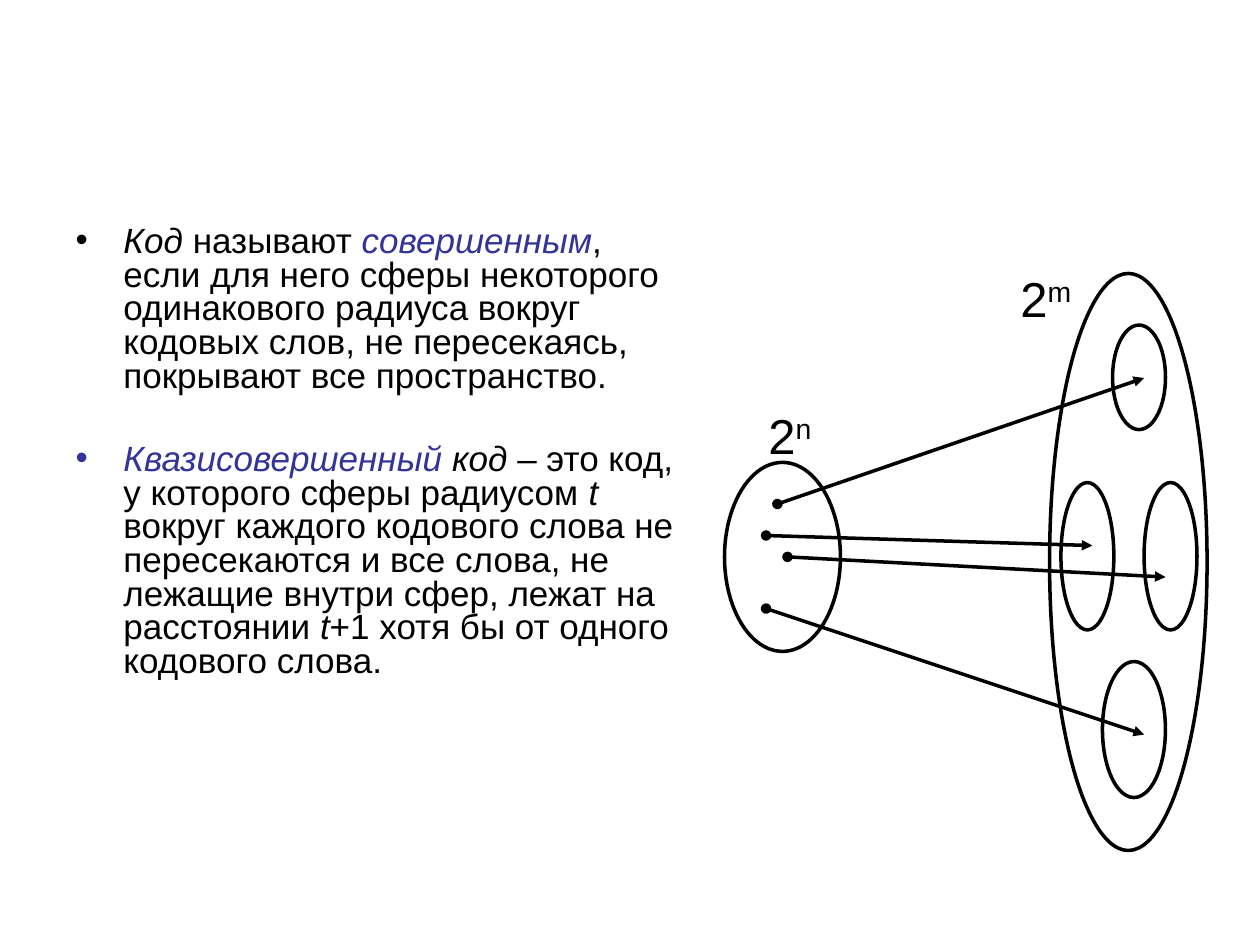
from lxml import etree
from pptx import Presentation
from pptx.dml.color import RGBColor
from pptx.enum import shapes, text
from pptx.oxml import ns
from pptx.util import Inches, Pt

HUES = {"ink": "000000", "key": "333399"}
FONT = "Arial"
LINE = 2

ITEMS = [
    ("ink", 5, [
        ("Код ", "ink", True),
        ("называют ", "ink", False),
        ("совершенным", "key", True),
        (", если для него сферы некоторого одинакового радиуса вокруг "
         "кодовых слов, не пересекаясь, покрывают все пространство.", "ink", False),
    ]),
    ("key", 28.5, [
        ("Квазисовершенный", "key", True),
        (" код ", "ink", True),
        ("– это код, у которого сферы радиусом ", "ink", False),
        ("t ", "ink", True),
        ("вокруг каждого кодового слова не пересекаются и все слова, не "
         "лежащие внутри сфер, лежат на расстоянии ", "ink", False),
        ("t", "ink", True),
        ("+1 хотя бы от одного кодового слова.", "ink", False),
    ]),
]
OVALS = [
    (5.75, 3.67, 0.92, 1.5),
    (8.33, 2.17, 1.25, 4.58),
    (8.83, 2.58, 0.42, 0.83),
    (8.42, 3.83, 0.42, 1.17),
    (9.08, 3.83, 0.42, 1.17),
    (8.75, 5.25, 0.5, 1.08),
]
ARROWS = [
    (6.17, 4, 9.08, 3),
    (6.08, 4.25, 8.67, 4.33),
    (6.25, 4.42, 9.25, 4.58),
    (6.08, 4.83, 9.08, 5.83),
]
LABELS = [(6, 3.17, "n"), (8, 2.08, "m")]


def hue(name):
    """Return the named colour."""
    return RGBColor.from_string(HUES[name])


def node(parent, tag, **attrs):
    """Append a drawing element to its parent."""
    return etree.SubElement(parent, ns.qn(tag), **attrs)


def bullet(para, name):
    """Give a paragraph a hanging coloured bullet."""
    props = para._p.get_or_add_pPr()
    props.set("marL", str(Inches(0.38)))
    props.set("indent", str(-Inches(0.38)))
    node(node(props, "a:buClr"), "a:srgbClr", val=HUES[name])
    node(props, "a:buFont", typeface=FONT)
    node(props, "a:buChar", char="•")


def style(para, size, before):
    """Set the font and the space before a paragraph."""
    para.font.name = FONT
    para.font.size = Pt(size)
    para.space_before = Pt(before)


def body(slide):
    """Fill the body placeholder with the definitions."""
    box = slide.placeholders[1]
    box.left, box.top = Inches(0.5), Inches(1.75)
    box.width, box.height = Inches(5), Inches(5.17)
    frame = box.text_frame
    frame.auto_size = text.MSO_AUTO_SIZE.NONE
    for i, (mark, before, runs) in enumerate(ITEMS):
        para = frame.add_paragraph() if i else frame.paragraphs[0]
        style(para, 20, before)
        para.line_spacing = 0.8
        bullet(para, mark)
        for words, name, slant in runs:
            run = para.add_run()
            run.text = words
            run.font.italic = slant
            run.font.color.rgb = hue(name)


def stroke(shape):
    """Draw the outline of a shape in ink."""
    shape.line.color.rgb = hue("ink")
    shape.line.width = Pt(LINE)


def oval(group, *place):
    """Add an unfilled ellipse."""
    shape = group.shapes.add_shape(shapes.MSO_SHAPE.OVAL, *map(Inches, place))
    shape.shadow.inherit = False
    shape.fill.background()
    stroke(shape)


def arrow(group, *ends):
    """Add an arrow that starts with a dot."""
    link = group.shapes.add_connector(
        shapes.MSO_CONNECTOR.STRAIGHT, *map(Inches, ends))
    stroke(link)
    line = link.line._get_or_add_ln()
    node(line, "a:headEnd", type="oval")
    node(line, "a:tailEnd", type="triangle")
    node(link._element.spPr, "a:effectLst")


def label(group, left, top, power):
    """Add a power of two."""
    box = group.shapes.add_textbox(*map(Inches, (left, top, 1.17, 0.57)))
    frame = box.text_frame
    frame.word_wrap = True
    frame.auto_size = text.MSO_AUTO_SIZE.SHAPE_TO_FIT_TEXT
    para = frame.paragraphs[0]
    style(para, 28, 17.5)
    para.font.color.rgb = hue("ink")
    para.add_run().text = "2"
    run = para.add_run()
    run.text = power
    run._r.get_or_add_rPr().set("baseline", "30000")


def main():
    """Build and save the slide."""
    deck = Presentation()
    deck.slide_width, deck.slide_height = Inches(10), Inches(7.5)
    slide = deck.slides.add_slide(deck.slide_layouts[1])
    title = slide.shapes.title._element
    title.getparent().remove(title)
    body(slide)
    group = slide.shapes.add_group_shape()
    for draw, rows in ((oval, OVALS), (arrow, ARROWS), (label, LABELS)):
        for row in rows:
            draw(group, *row)
    deck.save("out.pptx")


main()
